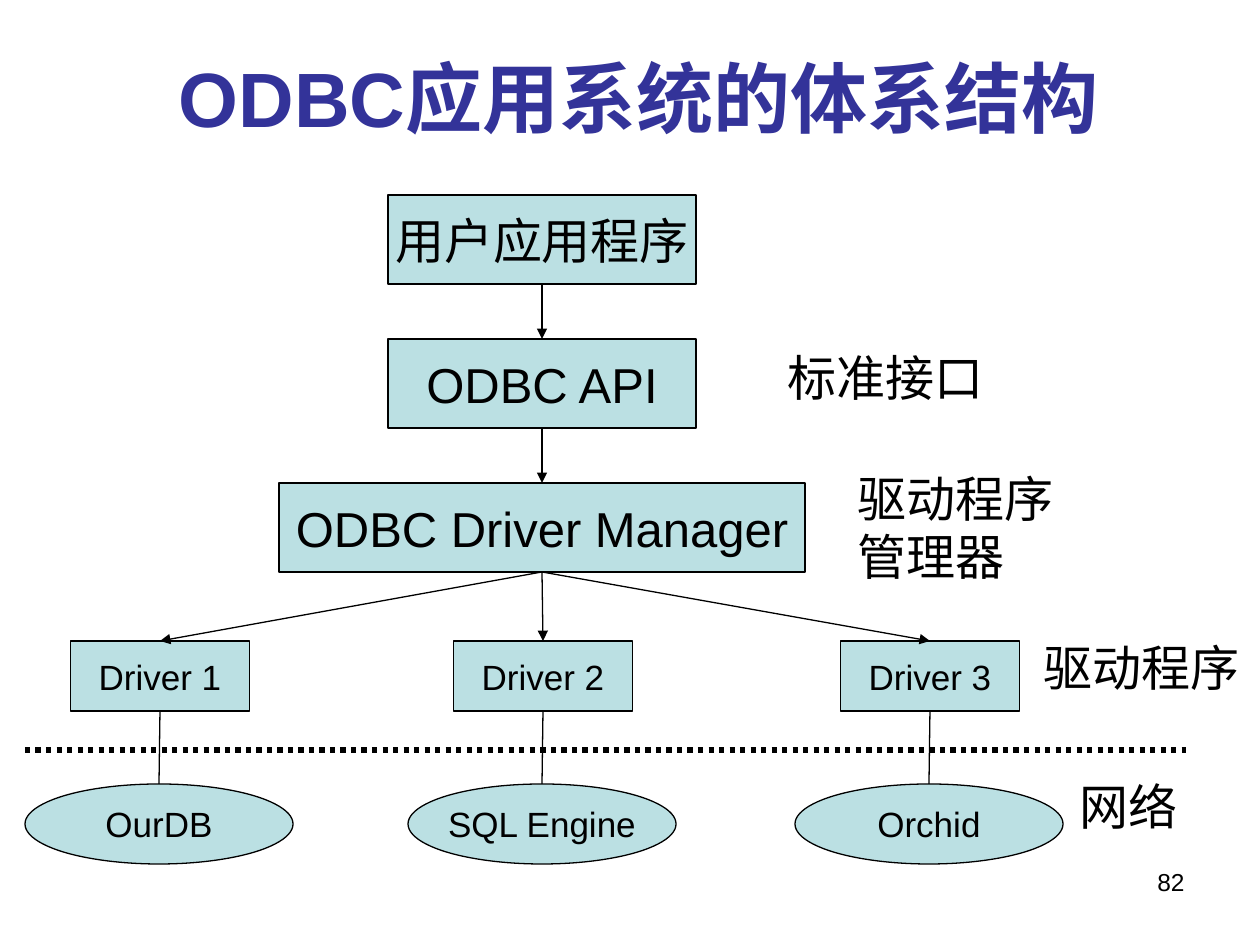
import pptx
import pptx.util
import pptx.dml.color
import pptx.enum.dml
import pptx.enum.shapes
import pptx.enum.text
import pptx.oxml.ns
from lxml import etree

PX = 914400 / 126
HUES = {"ink": "000000", "title": "333399", "fill": "BBE0E3"}
SHAPE = pptx.enum.shapes.MSO_SHAPE
ALIGN = pptx.enum.text.PP_ALIGN
ANCHOR = pptx.enum.text.MSO_ANCHOR


def emu(*nums):
    return [pptx.util.Emu(round(n * PX)) for n in nums]


def hue(name):
    return pptx.dml.color.RGBColor.from_string(HUES[name])


def style(frame, text, size, align, font="Arial", color="ink", bold=False):
    frame.text = text
    para = frame.paragraphs[0]
    para.alignment = align
    run = para.runs[0].font
    run.size = pptx.util.Pt(size)
    run.name = font
    run.bold = bold
    run.color.rgb = hue(color)


def node(slide, kind, box, text, size):
    shape = slide.shapes.add_shape(kind, *emu(*box))
    shape.shadow.inherit = False
    shape.fill.solid()
    shape.fill.fore_color.rgb = hue("fill")
    shape.line.color.rgb = hue("ink")
    shape.line.width = pptx.util.Pt(0.75)
    frame = shape.text_frame
    style(frame, text, size, ALIGN.CENTER)
    frame.word_wrap = False
    frame.vertical_anchor = ANCHOR.MIDDLE


def label(slide, box, text, size=28, align=ALIGN.LEFT, font="Times New Roman"):
    frame = slide.shapes.add_textbox(*emu(*box)).text_frame
    frame.word_wrap = True
    style(frame, text, size, align, font)


def link(slide, start, end, width=0.75, arrow=False):
    line = slide.shapes.add_connector(
        pptx.enum.shapes.MSO_CONNECTOR.STRAIGHT, *emu(*start, *end))
    line.line.color.rgb = hue("ink")
    line.line.width = pptx.util.Pt(width)
    qn = pptx.oxml.ns.qn
    if arrow:
        etree.SubElement(line.line._get_or_add_ln(), qn("a:tailEnd"), type="triangle")
    etree.SubElement(line._element.spPr, qn("a:effectLst"))
    return line


def head(slide, box, text):
    title = slide.shapes.title
    title.left, title.top, title.width, title.height = emu(*box)
    title.text_frame.vertical_anchor = ANCHOR.MIDDLE
    style(title.text_frame, text, 44, ALIGN.CENTER, color="title", bold=True)


def stack(slide, box, rows, step):
    """Centred layers, one below the other, joined by arrows."""
    left, top, width, high = box
    mid = left + width / 2
    for i, (text, wide) in enumerate(rows):
        y = top + i * step
        node(slide, SHAPE.RECTANGLE, (mid - wide / 2, y, wide, high), text, 28)
        if i:
            link(slide, (mid, y - step + high), (mid, y), arrow=True)


def branch(slide, box, root, driver, store):
    """A driver with its data store below, fed from the root point."""
    left, top, width, high = box
    mid = left + width / 2
    wide, tall = 179, 70
    node(slide, SHAPE.RECTANGLE, (mid - wide / 2 + 1, top, wide, tall), driver, 20)
    node(slide, SHAPE.OVAL, (left, top + high - 80, width, 80), store, 20)
    link(slide, (mid + 1, top + tall), (mid, top + high - 80))
    link(slide, root, (mid + 1, top), arrow=True)


deck = pptx.Presentation()
deck.slide_width, deck.slide_height = emu(1260, 945)
slide = deck.slides.add_slide(deck.slide_layouts[5])

# Title and page number
head(slide, (72, 18, 1134, 157), "ODBC应用系统的体系结构")
label(slide, (903, 861, 294, 66), "82", 14, ALIGN.RIGHT, "Arial")

# Upper layers
stack(slide, (279, 195, 526, 89),
      [("用户应用程序", 308), ("ODBC API", 308), ("ODBC Driver Manager", 526)], 144)

# Drivers and data stores
stores = [(25, "OurDB"), (408, "SQL Engine"), (795, "Orchid")]
for i, (left, store) in enumerate(stores, 1):
    branch(slide, (left, 641, 268, 223), (542, 572), f"Driver {i}", store)

# Network border
border = link(slide, (25, 750), (1186, 750), 3)
border.line.dash_style = pptx.enum.dml.MSO_LINE.ROUND_DOT

# Side notes
notes = [
    ((775, 341, 248, 72), "标准接口"),
    ((845, 462, 228, 130), "驱动程序管理器"),
    ((1031, 631, 228, 72), "驱动程序"),
    ((1067, 770, 228, 72), "网络"),
]
for box, text in notes:
    label(slide, box, text)

deck.save("out.pptx")
